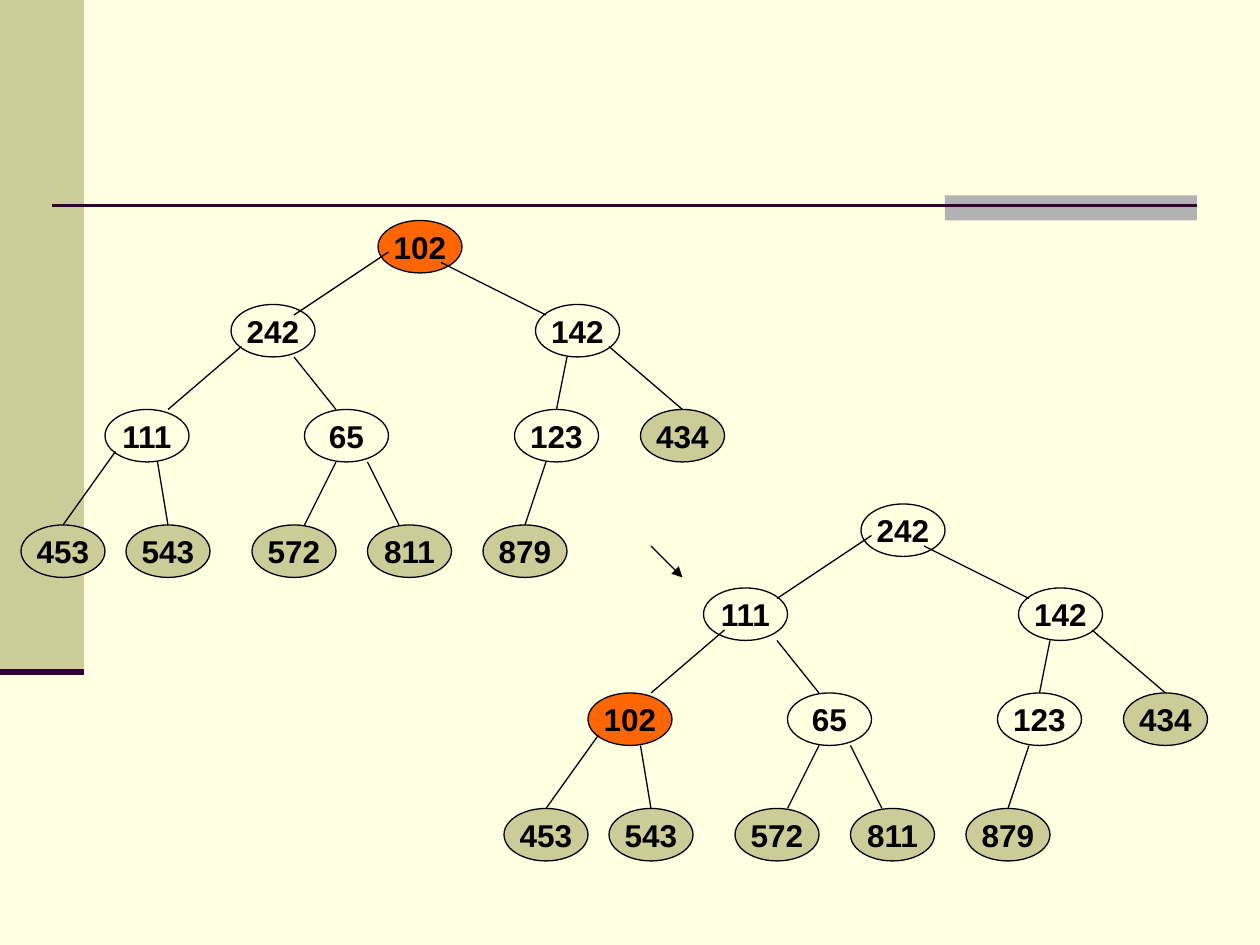
import pptx
import pptx.util
import pptx.dml.color
import pptx.enum.shapes
import pptx.enum.text
import pptx.oxml.ns
import lxml.etree

RGB = pptx.dml.color.RGBColor
SHAPE = pptx.enum.shapes.MSO_SHAPE
CREAM = RGB(0xFF, 0xFF, 0xE1)
OLIVE = RGB(0xCC, 0xCC, 0x99)
GREY = RGB(0xB2, 0xB2, 0xB2)
PURPLE = RGB(0x33, 0x00, 0x33)
ORANGE = RGB(0xFF, 0x66, 0x00)
BLACK = RGB(0x00, 0x00, 0x00)

PX = 7620  # EMU in one px, 120 px to the inch
NODE_W, NODE_H = 80, 50
FIRST_LEAF = 6

# Heap order: left and top of each node
NODES = [(360, 210), (220, 290), (510, 290),
         (100, 390), (290, 390), (490, 390), (610, 390),
         (20, 500), (120, 500), (240, 500), (350, 500), (460, 500)]
# Edge into each node after the root: x1, y1, x2, y2
EDGES = [(370, 240, 280, 300), (420, 250, 520, 300),
         (230, 330, 160, 390), (280, 340, 320, 390),
         (540, 340, 530, 390), (580, 330, 650, 390),
         (110, 430, 60, 500), (150, 440, 160, 500),
         (320, 440, 290, 500), (350, 440, 380, 500), (520, 440, 500, 500)]


class Deck:
    font = {"name": "Arial", "size": pptx.util.Pt(18), "bold": True}

    def __init__(self, prs):
        self.s = prs.slides.add_slide(prs.slide_layouts[6])
        fill = self.s.background.fill
        fill.solid()
        fill.fore_color.rgb = CREAM

    def shape(self, kind, x, y, w, h, color):
        sp = self.s.shapes.add_shape(kind, x * PX, y * PX, w * PX, h * PX)
        sp.shadow.inherit = False
        sp.fill.solid()
        sp.fill.fore_color.rgb = color
        sp.line.fill.background()
        return sp

    def node(self, x, y, text, color):
        sp = self.shape(SHAPE.OVAL, x, y, NODE_W, NODE_H, color)
        sp.line.color.rgb = BLACK
        sp.line.width = pptx.util.Pt(0.75)
        tf = sp.text_frame
        tf.word_wrap = False
        tf.vertical_anchor = pptx.enum.text.MSO_ANCHOR.MIDDLE
        p = tf.paragraphs[0]
        p.alignment = pptx.enum.text.PP_ALIGN.CENTER
        r = p.add_run()
        r.text = text
        for name, value in self.font.items():
            setattr(r.font, name, value)
        r.font.color.rgb = BLACK
        return sp

    def line(self, x1, y1, x2, y2, color=BLACK, width=0.75, arrow=False):
        ln = self.s.shapes.add_connector(
            pptx.enum.shapes.MSO_CONNECTOR.STRAIGHT,
            x1 * PX, y1 * PX, x2 * PX, y2 * PX)
        ln.line.color.rgb = color
        ln.line.width = pptx.util.Pt(width)
        qn = pptx.oxml.ns.qn
        if arrow:
            lxml.etree.SubElement(ln.line._get_or_add_ln(), qn("a:tailEnd"),
                                  type="triangle")
        lxml.etree.SubElement(ln._element.spPr, qn("a:effectLst"))
        return ln

    def tree(self, labels, marked, dx=0, dy=0, left_shift=0):
        nodes = []
        for i, ((x, y), label) in enumerate(zip(NODES, labels)):
            color = OLIVE if i >= FIRST_LEAF else CREAM
            if label == marked:
                color = ORANGE
            shift = left_shift if i == 1 else 0
            nodes.append(self.node(x + dx + shift, y + dy, label, color))
        for (x1, y1, x2, y2), (x, y), child in zip(EDGES, NODES[1:], nodes[1:]):
            edge = self.line(x1 + dx, y1 + dy, x2 + dx, y2 + dy)
            if (x2, y2) == (x + NODE_W // 2, y):
                edge.end_connect(child, 0)


def main():
    prs = pptx.Presentation()
    prs.slide_width, prs.slide_height = 1200 * PX, 900 * PX
    deck = Deck(prs)

    # Side band and title rule
    deck.shape(SHAPE.RECTANGLE, 0, 0, 80, 640, OLIVE)
    deck.shape(SHAPE.RECTANGLE, 900, 186, 240, 24, GREY)
    deck.line(50, 196, 1140, 196, PURPLE, 1.5)
    deck.line(0, 640, 80, 640, PURPLE, 3.5)

    # Heap before and after sifting 102 down
    rest = ["65", "123", "434", "453", "543", "572", "811", "879"]
    deck.tree(["102", "242", "142", "111"] + rest, "102")
    deck.tree(["242", "111", "142", "102"] + rest, "102",
              dx=460, dy=270, left_shift=-10)

    # Step arrow
    deck.line(620, 520, 650, 550, arrow=True)
    prs.save("out.pptx")


if __name__ == "__main__":
    main()
